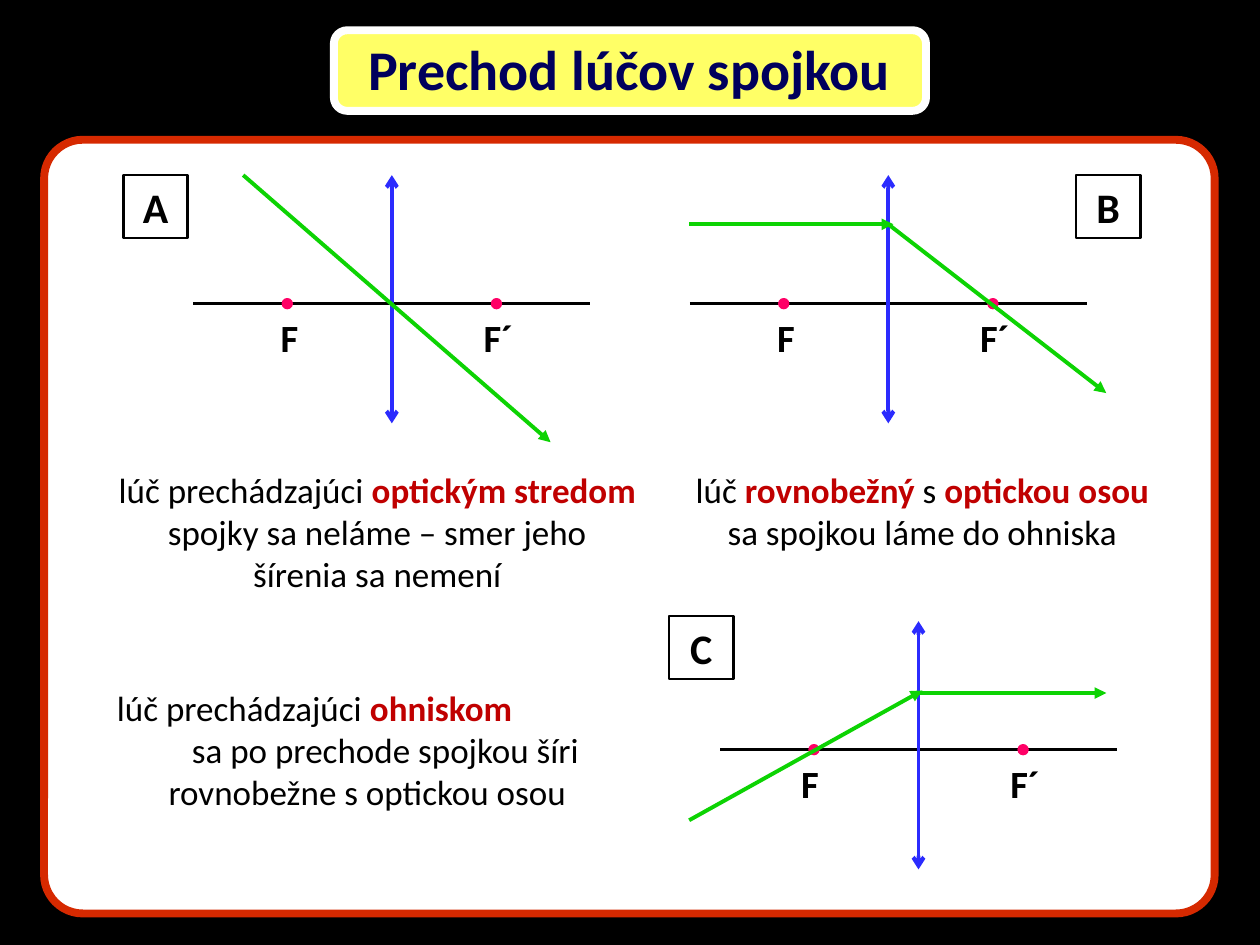
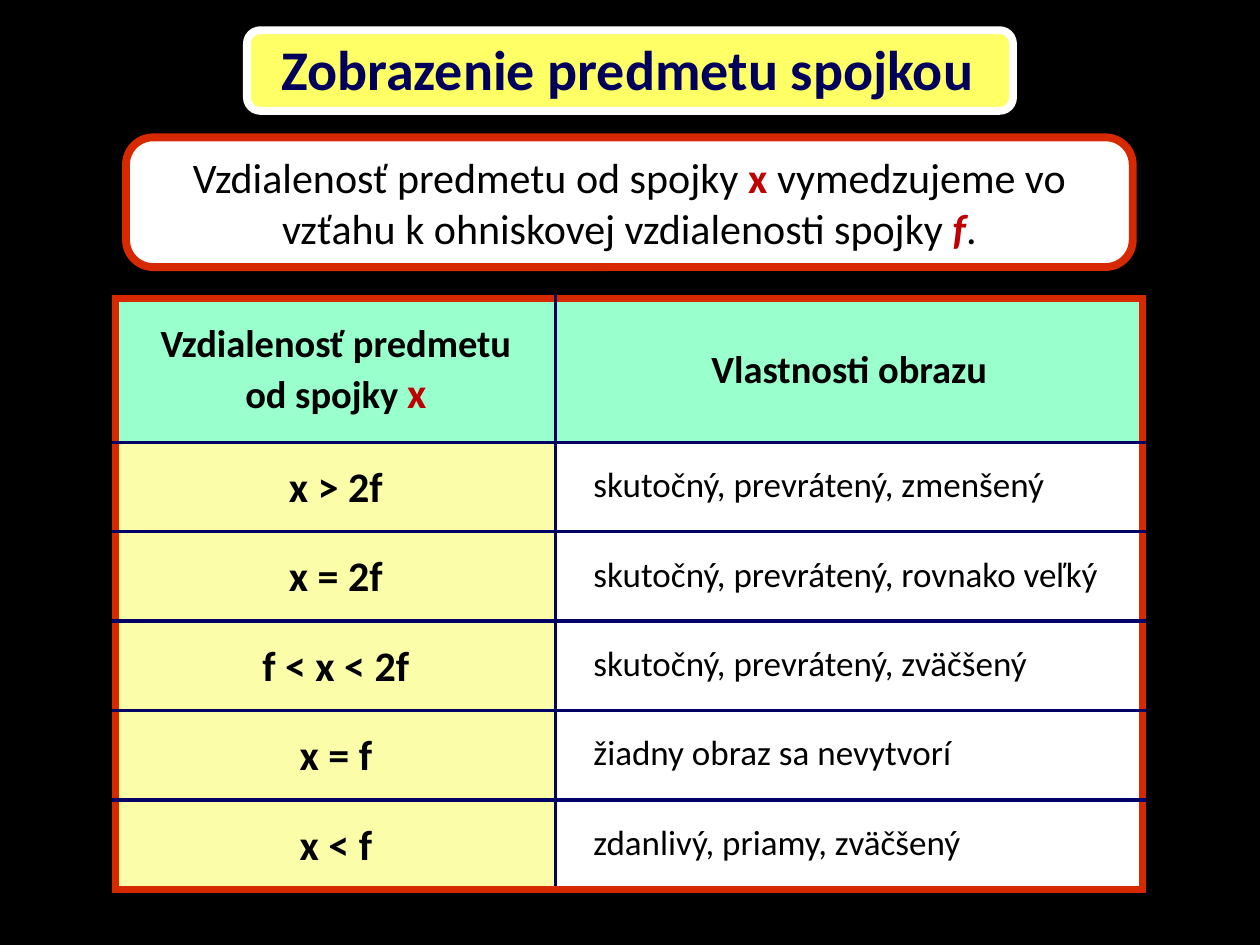
from dataclasses import dataclass
from typing import NamedTuple

from lxml import etree
from pptx import Presentation
from pptx.dml.color import RGBColor
from pptx.enum.shapes import MSO_CONNECTOR, MSO_SHAPE
from pptx.enum.text import MSO_ANCHOR, PP_ALIGN
from pptx.oxml.ns import qn
from pptx.util import Emu, Inches, Pt

SLIDE_WIDTH, SLIDE_HEIGHT = Inches(10), Inches(7.5)
COLUMN, ROW = SLIDE_WIDTH // 100, SLIDE_HEIGHT // 75

BLACK = RGBColor(0x00, 0x00, 0x00)
WHITE = RGBColor(0xFF, 0xFF, 0xFF)
FRAME_RED = RGBColor(0xD6, 0x29, 0x00)
KEYWORD_RED = RGBColor(0xC0, 0x00, 0x00)
TITLE_YELLOW = RGBColor(0xFF, 0xFF, 0x66)
TITLE_NAVY = RGBColor(0x00, 0x00, 0x5C)
GRID_NAVY = RGBColor(0x00, 0x00, 0x66)
HEADER_MINT = RGBColor(0x99, 0xFF, 0xCC)
CASE_YELLOW = RGBColor(0xFB, 0xFD, 0xA9)
LENS_BLUE = RGBColor(0x2B, 0x2B, 0xFE)
FOCUS_PINK = RGBColor(0xFF, 0x00, 0x66)
RAY_GREEN = RGBColor(0x0D, 0xD3, 0x03)

FONT = "Calibri"
LEFT, CENTER = PP_ALIGN.LEFT, PP_ALIGN.CENTER
TOP, MIDDLE = MSO_ANCHOR.TOP, MSO_ANCHOR.MIDDLE
ROUNDED, OVAL, BOX = MSO_SHAPE.ROUNDED_RECTANGLE, MSO_SHAPE.OVAL, MSO_SHAPE.RECTANGLE
STRAIGHT = MSO_CONNECTOR.STRAIGHT

FOCAL_LENGTH = 8.3
FOCUS_SIZE = 0.8
AXIS_REACH = 15.75
LENS_ABOVE, LENS_BELOW = 10.2, 9.5


class Area(NamedTuple):
    left: float
    top: float
    width: float
    height: float


class Run(NamedTuple):
    text: str
    italic: bool = False
    size: float | None = None


class Ray(NamedTuple):
    x1: float
    y1: float
    x2: float
    y2: float


@dataclass
class LensDiagram:
    letter: str
    badge_left: float
    badge_top: float
    center_x: float
    center_y: float
    rays: list[Ray]
    focus_label: float = -9.8


@dataclass
class Explanation:
    area: Area
    lines: list[tuple[list[str | Run], PP_ALIGN, float]]


class ImageCase(NamedTuple):
    distance: str
    properties: str


DIAGRAMS = [
    LensDiagram("A", 9.8, 13.9, 31.1, 24.1, [Ray(19.3, 13.9, 43.7, 35.1)]),
    LensDiagram("B", 85.4, 13.9, 70.5, 24.1,
                [Ray(54.7, 17.8, 70.9, 17.8), Ray(70.5, 17.8, 87.8, 31.2)]),
    LensDiagram("C", 53.1, 48.9, 72.9, 59.5,
                [Ray(54.7, 65.1, 73.2, 54.8), Ray(72.8, 55, 87.8, 55)], -10.3),
]

EXPLANATIONS = [
    Explanation(Area(8.3, 54, 41.7, 11.1), [
        (["lúč prechádzajúci ", Run("ohniskom")], LEFT, 0),
        (["sa po prechode spojkou šíri"], CENTER, 2.9),
        (["rovnobežne s optickou osou"], CENTER, 0),
    ]),
    Explanation(Area(8.3, 36.7, 43.3, 11.1), [
        (["lúč prechádzajúci ", Run("optickým stredom "),
          "spojky sa neláme – smer jeho šírenia sa nemení"], CENTER, 0),
    ]),
    Explanation(Area(53.9, 36.7, 38.6, 8.3), [
        (["lúč ", Run("rovnobežný "), "s ", Run("optickou osou "),
          "sa spojkou láme do ohniska"], CENTER, 0),
    ]),
]

IMAGE_CASES = [
    ImageCase("x > 2f", "skutočný, prevrátený, zmenšený"),
    ImageCase("x = 2f", "skutočný, prevrátený, rovnako veľký"),
    ImageCase("f < x < 2f", "skutočný, prevrátený, zväčšený"),
    ImageCase("x = f", "žiadny obraz sa nevytvorí"),
    ImageCase("x < f", "zdanlivý, priamy, zväčšený"),
]


def across(columns: float) -> Emu:
    return Emu(round(columns * COLUMN))


def down(rows: float) -> Emu:
    return Emu(round(rows * ROW))


def place(area: Area) -> tuple[Emu, Emu, Emu, Emu]:
    return across(area.left), down(area.top), across(area.width), down(area.height)


def write(frame, pieces: list[str | Run], *, size: float, color: RGBColor = BLACK,
          bold: bool = False, align: PP_ALIGN = LEFT, indent: float = 0,
          anchor: MSO_ANCHOR = TOP, wrap: bool = True) -> None:
    frame.word_wrap = wrap
    frame.vertical_anchor = anchor
    paragraph = frame.add_paragraph() if frame.text else frame.paragraphs[0]
    paragraph.alignment = align
    if indent:
        paragraph._p.get_or_add_pPr().set("marL", str(across(indent)))
    for piece in pieces:
        keyword = isinstance(piece, Run)
        content = piece.text if keyword else piece
        for number, line in enumerate(content.split("\n")):
            if number:
                paragraph.add_line_break()
            run = paragraph.add_run()
            run.text = line
            run.font.name = FONT
            run.font.size = Pt(keyword and piece.size or size)
            run.font.bold = bold or keyword
            run.font.italic = keyword and piece.italic
            run.font.color.rgb = KEYWORD_RED if keyword else color


def add_figure(shapes, kind: MSO_SHAPE, area: Area, fill: RGBColor | None,
               outline: RGBColor, weight: float, rounding: float | None = None):
    figure = shapes.add_shape(kind, *place(area))
    figure.shadow.inherit = False
    if fill is None:
        figure.fill.background()
    else:
        figure.fill.solid()
        figure.fill.fore_color.rgb = fill
    figure.line.color.rgb = outline
    figure.line.width = Pt(weight)
    if rounding is not None:
        figure.adjustments[0] = rounding
    return figure


def add_line(shapes, ray: Ray, color: RGBColor, weight: float,
             head: str | None = None, tail: str | None = None) -> None:
    line = shapes.add_connector(STRAIGHT, across(ray.x1), down(ray.y1),
                                across(ray.x2), down(ray.y2))
    line.line.color.rgb = color
    line.line.width = Pt(weight)
    stroke = line.line._get_or_add_ln()
    for tag, arrow in (("a:headEnd", head), ("a:tailEnd", tail)):
        if arrow:
            etree.SubElement(stroke, qn(tag), type=arrow)
    etree.SubElement(line._element.spPr, qn("a:effectLst"))


def add_slide(deck, title: str, title_width: float):
    slide = deck.slides.add_slide(deck.slide_layouts[6])
    slide.background.fill.solid()
    slide.background.fill.fore_color.rgb = BLACK
    banner = add_figure(slide.shapes, ROUNDED,
                        Area(50 - title_width / 2, 2.4, title_width, 6.4),
                        TITLE_YELLOW, WHITE, 4.5)
    frame = banner.text_frame
    frame.margin_left = frame.margin_right = across(2.4)
    frame.margin_top, frame.margin_bottom = 0, down(0.4)
    write(frame, [title], size=32, color=TITLE_NAVY, bold=True, anchor=MIDDLE, wrap=False)
    return slide


def draw_diagram(slide, diagram: LensDiagram) -> None:
    shapes = slide.shapes.add_group_shape().shapes
    x, y = diagram.center_x, diagram.center_y
    for name, offset in (("F", diagram.focus_label), ("F´", 6.3)):
        label = shapes.add_textbox(*place(Area(x + offset, y + 0.3, 6, 4.7)))
        write(label.text_frame, [name], size=22, bold=True)
    add_line(shapes, Ray(x - AXIS_REACH, y, x + AXIS_REACH, y), BLACK, 1.5)
    add_line(shapes, Ray(x, y - LENS_ABOVE, x, y + LENS_BELOW), LENS_BLUE, 2.25,
             head="arrow", tail="arrow")
    for side in (-1, 1):
        focus = Area(x + side * FOCAL_LENGTH - FOCUS_SIZE / 2, y - FOCUS_SIZE / 2,
                     FOCUS_SIZE, FOCUS_SIZE)
        add_figure(shapes, OVAL, focus, FOCUS_PINK, FOCUS_PINK, 0.75)
    for ray in diagram.rays:
        add_line(shapes, ray, RAY_GREEN, 2.25, tail="triangle")
    badge = add_figure(shapes, BOX, Area(diagram.badge_left, diagram.badge_top, 5.1, 5),
                       None, BLACK, 1.5)
    write(badge.text_frame, [diagram.letter], size=24, bold=True, align=CENTER)


def build_rays_slide(deck) -> None:
    slide = add_slide(deck, "Prechod lúčov spojkou", 47)
    add_figure(slide.shapes, ROUNDED, Area(3.5, 11.1, 92.9, 61.4), WHITE, FRAME_RED, 4.5, 0.05)
    for explanation in EXPLANATIONS:
        note = slide.shapes.add_textbox(*place(explanation.area))
        for pieces, align, indent in explanation.lines:
            write(note.text_frame, pieces, size=20, align=align, indent=indent)
    for diagram in DIAGRAMS:
        draw_diagram(slide, diagram)


def style_cell(cell, fill: RGBColor, outer_edges: dict[str, bool]) -> None:
    properties = cell._tc.get_or_add_tcPr()
    for edge, outer in outer_edges.items():
        border = etree.SubElement(properties, qn(f"a:ln{edge}"),
                                  w=str(Pt(4.5 if outer else 2.25)))
        paint = etree.SubElement(border, qn("a:solidFill"))
        etree.SubElement(paint, qn("a:srgbClr"), val=str(FRAME_RED if outer else GRID_NAVY))
    cell.fill.solid()
    cell.fill.fore_color.rgb = fill
    cell.vertical_anchor = MIDDLE


def add_image_table(slide) -> None:
    count = len(IMAGE_CASES) + 1
    table = slide.shapes.add_table(count, 2, *place(Area(9.2, 23.7, 81.5, 46.9))).table
    table.first_row = table.horz_banding = False
    for column, width in zip(table.columns, (34.9, 46.6)):
        column.width = across(width)
    for number, row in enumerate(table.rows):
        row.height = down(7.1 if number else 11.4)
        for side, cell in enumerate(row.cells):
            fill = (CASE_YELLOW, WHITE)[side] if number else HEADER_MINT
            style_cell(cell, fill, {"L": side == 0, "R": side == 1,
                                    "T": number == 0, "B": number == count - 1})
    distance, properties = table.rows[0].cells
    write(distance.text_frame, ["Vzdialenosť predmetu\nod spojky ", Run("x", size=24)],
          size=22, bold=True, align=CENTER, anchor=MIDDLE)
    write(properties.text_frame, ["Vlastnosti obrazu"], size=22, bold=True,
          align=CENTER, anchor=MIDDLE)
    for number, case in enumerate(IMAGE_CASES, start=1):
        distance, properties = table.rows[number].cells
        distance.margin_top, distance.margin_bottom = down(0.6), down(0.4)
        properties.margin_top, properties.margin_bottom = down(0.4), down(0.6)
        write(distance.text_frame, [case.distance], size=24, bold=True,
              align=CENTER, anchor=MIDDLE)
        write(properties.text_frame, [case.properties], size=20, indent=2, anchor=MIDDLE)


def build_images_slide(deck) -> None:
    slide = add_slide(deck, "Zobrazenie predmetu spojkou", 60.8)
    add_image_table(slide)
    statement = add_figure(slide.shapes, ROUNDED, Area(10, 10.9, 79.9, 10.3),
                           WHITE, FRAME_RED, 4.5, 0.21)
    write(statement.text_frame,
          ["Vzdialenosť predmetu od spojky ", Run("x"),
           " vymedzujeme vo vzťahu k ohniskovej vzdialenosti spojky ",
           Run("f", italic=True), "."],
          size=24, align=CENTER, anchor=MIDDLE)


def main() -> None:
    deck = Presentation()
    deck.slide_width, deck.slide_height = SLIDE_WIDTH, SLIDE_HEIGHT
    build_rays_slide(deck)
    build_images_slide(deck)
    deck.save("out.pptx")


if __name__ == "__main__":
    main()
